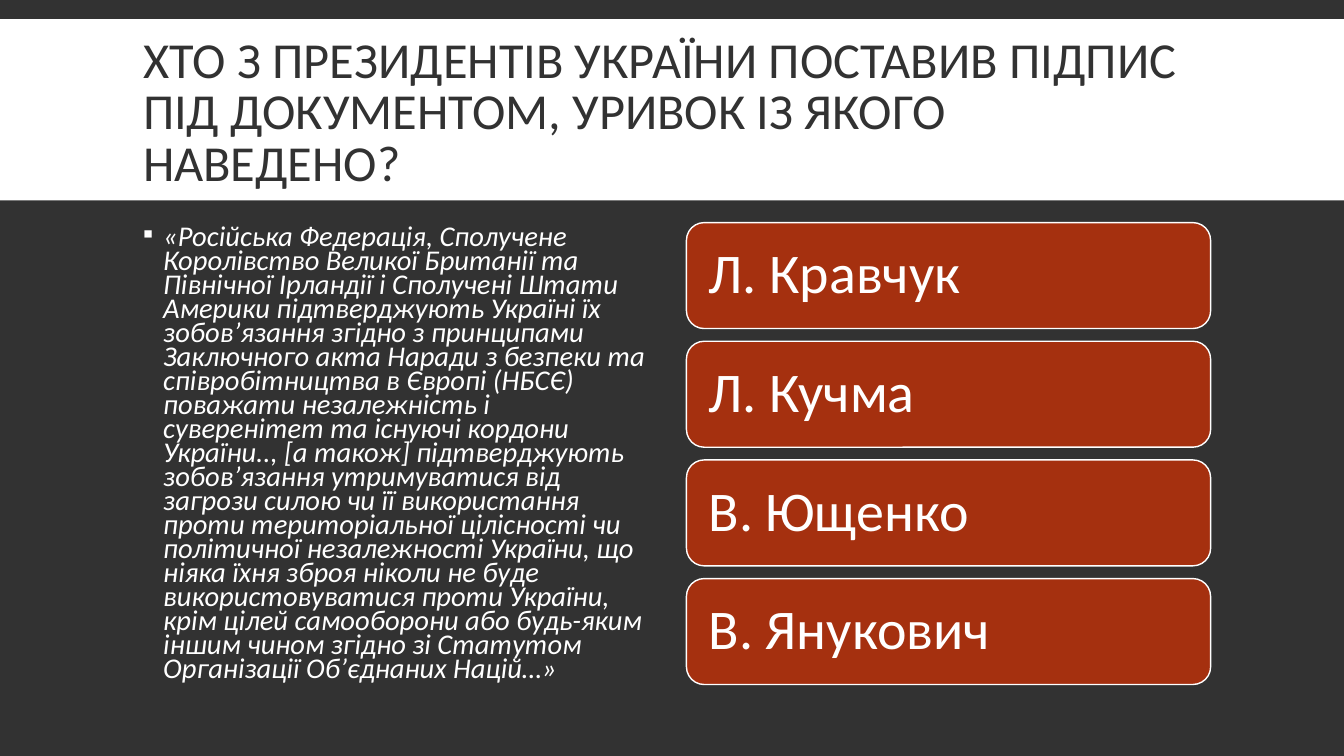
from lxml.etree import SubElement
from pptx import Presentation
from pptx.dml.color import RGBColor
from pptx.enum.shapes import MSO_SHAPE as Shape
from pptx.enum.text import MSO_ANCHOR as Anchor, MSO_AUTO_SIZE as AutoSize, PP_ALIGN as Align
from pptx.oxml.ns import qn
from pptx.util import Cm, Pt

DARK = RGBColor(0x32, 0x32, 0x32)
WHITE = RGBColor(0xFF, 0xFF, 0xFF)
RUST = RGBColor(0xA5, 0x30, 0x0F)

QUESTION = "ХТО З ПРЕЗИДЕНТІВ УКРАЇНИ ПОСТАВИВ ПІДПИС ПІД ДОКУМЕНТОМ, УРИВОК ІЗ ЯКОГО НАВЕДЕНО?"
QUOTE = (
    "«Російська Федерація, Сполучене Королівство Великої Британії та Північної Ірландії "
    "і Сполучені Штати Америки підтверджують Україні їх зобов’язання згідно з принципами "
    "Заключного акта Наради з безпеки та співробітництва в Європі (НБСЄ) поважати "
    "незалежність і суверенітет та існуючі кордони України.., [а також] підтверджують "
    "зобов’язання утримуватися від загрози силою чи її використання проти територіальної "
    "цілісності чи політичної незалежності України, що ніяка їхня зброя ніколи не буде "
    "використовуватися проти України, крім цілей самооборони або будь-яким іншим чином "
    "згідно зі Статутом Організації Об’єднаних Націй…»"
)
ANSWERS = ["Л. Кравчук", "Л. Кучма", "В. Ющенко", "В. Янукович"]


def place(shape, left, top, width, height):
    shape.left, shape.top, shape.width, shape.height = left, top, width, height


def write(shape, text, size, color=WHITE, italic=False, spacing=1.0, anchor=Anchor.MIDDLE, bullet=None):
    frame = shape.text_frame
    frame.word_wrap = True
    frame.auto_size = AutoSize.NONE
    frame.vertical_anchor = anchor
    para = frame.paragraphs[0]
    if bullet:
        add_bullet(para, bullet, color)
    para.alignment = Align.LEFT
    para.line_spacing = spacing
    para.space_before = Pt(0)
    span = para.add_run()
    span.text = text
    span.font.name = "Calibri"
    span.font.size = Pt(size)
    span.font.italic = italic
    span.font.color.rgb = color


def add_bullet(para, symbol, color):
    properties = para._p.get_or_add_pPr()
    properties.set("marL", str(Cm(0.51)))
    properties.set("indent", str(-Cm(0.51)))
    tint = SubElement(properties, qn("a:buClr"))
    SubElement(tint, qn("a:srgbClr"), val=str(color))
    SubElement(properties, qn("a:buFont"), typeface="Calibri")
    SubElement(properties, qn("a:buChar"), char=symbol)


def add_panel(page, kind, box, fill):
    panel = page.shapes.add_shape(kind, *box)
    panel.shadow.inherit = False
    panel.fill.solid()
    panel.fill.fore_color.rgb = fill
    panel.line.fill.background()
    return panel


def add_heading(page, left, top, width, height):
    band = add_panel(page, Shape.RECTANGLE, (left, top, width, height), WHITE)
    title = page.shapes.title
    title.element.addprevious(band.element)
    place(title, left + Cm(3.35), top + Cm(0.31), Cm(27.18), height - Cm(0.38))
    write(title, QUESTION, 36, color=DARK, spacing=0.85)


def add_quote(page, left, top, width, height):
    body = page.placeholders[1]
    place(body, left, top, width, height)
    write(body, QUOTE, 20.4, italic=True, spacing=0.7, anchor=Anchor.TOP, bullet="▪")


def add_answers(page, left, top, width, height):
    gap = Cm(0.32)
    button_height = (height - gap * (len(ANSWERS) - 1)) // len(ANSWERS)
    for index, answer in enumerate(ANSWERS):
        button_top = top + index * (button_height + gap)
        button = add_panel(page, Shape.ROUNDED_RECTANGLE, (left, button_top, width, button_height), RUST)
        button.line.color.rgb = WHITE
        button.line.width = Pt(1)
        frame = button.text_frame
        frame.margin_left = frame.margin_right = Cm(0.43)
        write(button, answer, 40, spacing=0.9)


def main():
    deck = Presentation()
    deck.slide_width, deck.slide_height = Cm(33.87), Cm(19.05)
    page = deck.slides.add_slide(deck.slide_layouts[1])
    page.background.fill.solid()
    page.background.fill.fore_color.rgb = DARK
    add_heading(page, 0, Cm(0.48), deck.slide_width, Cm(4.57))
    add_quote(page, Cm(3.35), Cm(5.59), Cm(13.21), Cm(11.68))
    add_answers(page, Cm(17.3), Cm(5.61), Cm(13.21), Cm(11.64))
    deck.save("out.pptx")


if __name__ == "__main__":
    main()
